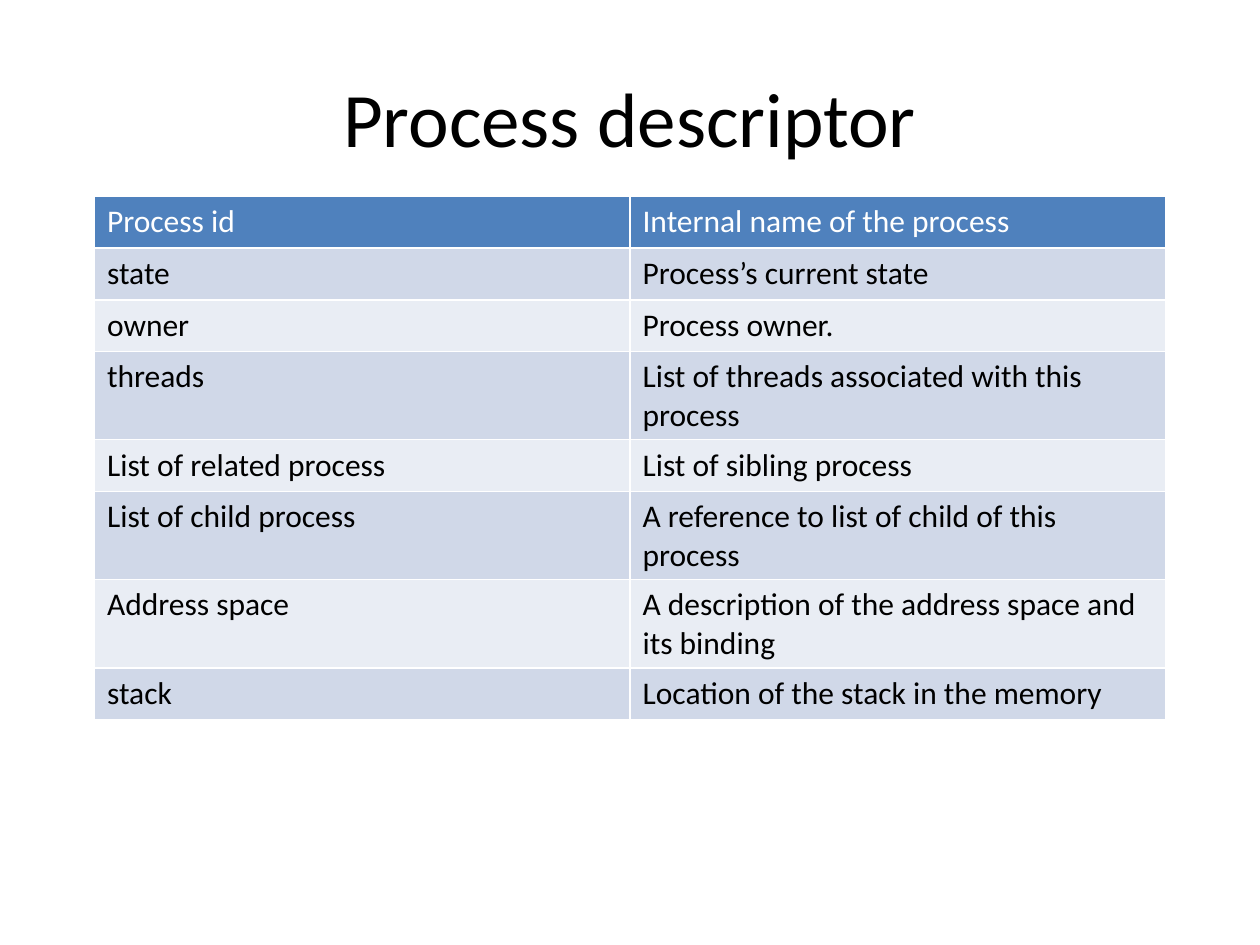
from pptx import Presentation
from pptx.dml.color import RGBColor
from pptx.enum.text import MSO_ANCHOR as Anchor, PP_ALIGN as Align
from pptx.util import Inches, Pt

COLORS = {
    "header": "4F81BD",
    "odd": "D0D8E8",
    "even": "E9EDF4",
    "light": "FFFFFF",
    "dark": "000000",
}
FIELDS = [
    ("Process id", "Internal name of the process"),
    ("state", "Process’s current state"),
    ("owner", "Process owner."),
    ("threads", "List of threads associated with this process"),
    ("List of related process", "List of sibling process"),
    ("List of child process", "A reference to list of child of this process"),
    ("Address space", "A description of the address space and its binding"),
    ("stack", "Location of the stack in the memory"),
]
ROW_HEIGHT = 0.41


def write_text(frame, text, size=18, color="dark", align=Align.LEFT):
    para = frame.paragraphs[0]
    para.alignment = align
    span = para.add_run()
    span.text = text
    span.font.name = "Calibri"
    span.font.size = Pt(size)
    span.font.bold = False
    span.font.color.rgb = RGBColor.from_string(COLORS[color])


def add_title(page, left, top, width, height):
    box = page.shapes.add_textbox(Inches(left), Inches(top), Inches(width), Inches(height))
    frame = box.text_frame
    frame.word_wrap = True
    frame.vertical_anchor = Anchor.MIDDLE
    write_text(frame, "Process descriptor", size=44, align=Align.CENTER)


def add_field_table(page, left, top, width):
    height = ROW_HEIGHT * len(FIELDS)
    table = page.shapes.add_table(
        len(FIELDS), 2, Inches(left), Inches(top), Inches(width), Inches(height)
    ).table
    for column in table.columns:
        column.width = Inches(width / 2)
    for index, field in enumerate(FIELDS):
        table.rows[index].height = Inches(ROW_HEIGHT)
        fill = "header" if index == 0 else ("even", "odd")[index % 2]
        for cell, text in zip(table.rows[index].cells, field):
            cell.fill.solid()
            cell.fill.fore_color.rgb = RGBColor.from_string(COLORS[fill])
            write_text(cell.text_frame, text, color="light" if index == 0 else "dark")


def main():
    deck = Presentation()
    deck.slide_width, deck.slide_height = Inches(10), Inches(7.5)
    page = deck.slides.add_slide(deck.slide_layouts[6])
    add_title(page, 0.5, 0.3, 9, 1.25)
    add_field_table(page, 0.75, 1.56, 8.5)
    deck.save("out.pptx")


if __name__ == "__main__":
    main()
